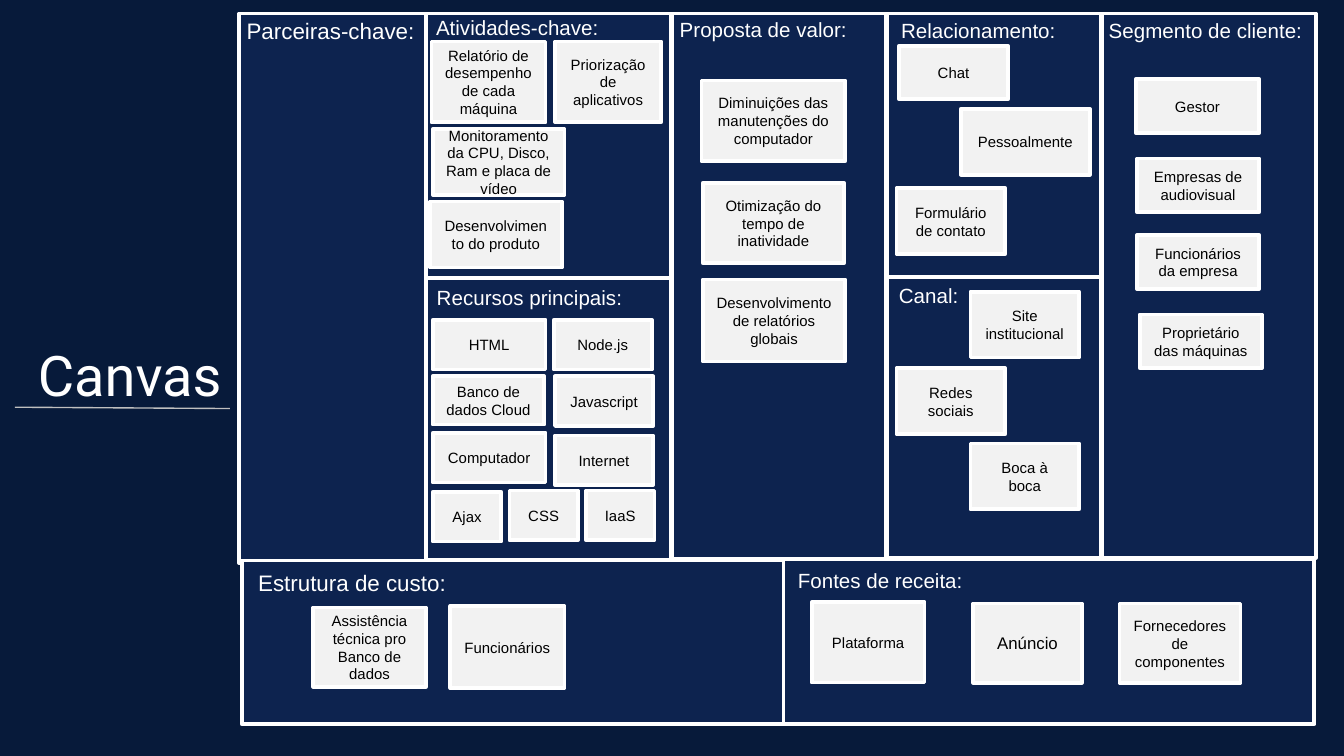
import pptx
import pptx.util
import pptx.dml.color
import pptx.enum.shapes
import pptx.enum.text
import pptx.oxml
import lxml.etree

Inches = pptx.util.Inches
ANCHOR = pptx.enum.text.MSO_ANCHOR
ALIGN = pptx.enum.text.PP_ALIGN

NAVY, PANEL, CARD, WHITE, BLACK, GRAY = "071A3A", "0D234F", "F2F2F2", "FFFFFF", "000000", "BFBFBF"

PANELS = [
    (1.78, 0.1, 1.41, 4.09, PANEL),
    (3.17, 0.1, 1.82, 3.9, PANEL),
    (5, 0.1, 1.59, 4.06, PANEL),
    (6.6, 0.1, 1.59, 4.06, PANEL),
    (3.17, 2.07, 1.82, 2.1, PANEL),
    (6.6, 2.06, 1.59, 2.09, None),
    (1.8, 4.17, 4.03, 1.22, PANEL),
    (8.2, 0.1, 1.59, 4.05, PANEL),
    (5.83, 4.16, 3.95, 1.23, PANEL),
]

SECTIONS = [
    ("Parceiras-chave:", (1.44, 0.1, 2.04, 0.25), 12, []),
    ("Atividades-chave:", (2.83, 0.08, 2.04, 0.25), 11, [
        ("Relatório de desempenho de cada máquina", 3.21, 0.31, 0.85, 0.6),
        ("Priorização de aplicativos", 4.13, 0.31, 0.79, 0.6),
        ("Monitoramento da CPU, Disco, Ram e placa de vídeo", 3.22, 0.96, 0.98, 0.49),
        ("Desenvolvimento do produto", 3.2, 1.5, 0.98, 0.49),
    ]),
    ("Recursos principais:", (2.92, 2.09, 2.04, 0.25), 11, [
        ("HTML", 3.22, 2.38, 0.84, 0.37),
        ("Node.js", 4.12, 2.38, 0.73, 0.37),
        ("Banco de dados Cloud", 3.22, 2.8, 0.83, 0.36),
        ("Javascript", 4.13, 2.8, 0.73, 0.37),
        ("Computador", 3.22, 3.22, 0.84, 0.37),
        ("Internet", 4.13, 3.24, 0.73, 0.37),
        ("Ajax", 3.22, 3.66, 0.51, 0.37),
        ("CSS", 3.79, 3.65, 0.51, 0.37),
        ("IaaS", 4.36, 3.65, 0.51, 0.37),
    ]),
    ("Proposta de valor:", (4.66, 0.15, 2.04, 0.14), 11, [
        ("Diminuições das manutenções do computador", 5.22, 0.6, 1.07, 0.6),
        ("Otimização do tempo de inatividade", 5.23, 1.36, 1.05, 0.6),
        ("Desenvolvimento de relatórios globais", 5.23, 2.08, 1.06, 0.61),
    ]),
    ("Relacionamento:", (6.26, 0.1, 2.04, 0.25), 11, [
        ("Chat", 6.69, 0.34, 0.81, 0.4),
        ("Pessoalmente", 7.15, 0.81, 0.96, 0.49),
        ("Formulário de contato", 6.67, 1.4, 0.81, 0.49),
    ]),
    ("Canal:", (6.58, 2.07, 0.66, 0.25), 11, [
        ("Site institucional", 7.22, 2.17, 0.81, 0.49),
        ("Redes sociais", 6.67, 2.74, 0.81, 0.49),
        ("Boca à boca", 7.22, 3.3, 0.81, 0.49),
    ]),
    ("Segmento de cliente:", (7.95, 0.1, 2.04, 0.25), 11, [
        ("Gestor", 8.45, 0.59, 0.92, 0.4),
        ("Empresas de audiovisual", 8.46, 1.18, 0.91, 0.4),
        ("Funcionários da empresa", 8.46, 1.75, 0.91, 0.4),
        ("Proprietário das máquinas", 8.48, 2.34, 0.91, 0.4),
    ]),
    ("Estrutura de custo:", (1.6, 4.21, 2.04, 0.25), 12, [
        ("Assistência técnica pro Banco de dados", 2.33, 4.52, 0.84, 0.59),
        ("Funcionários", 3.35, 4.51, 0.85, 0.61),
    ]),
    ("Fontes de receita:", (5.53, 4.19, 2.04, 0.25), 11, [
        ("Plataforma", 6.04, 4.48, 0.84, 0.6),
        ("Anúncio", 7.24, 4.49, 0.81, 0.59),
        ("Fornecedores de componentes", 8.33, 4.49, 0.9, 0.59),
    ]),
]
LARGER_CARDS = {"Anúncio": 9}


def color(value):
    return pptx.dml.color.RGBColor.from_string(value)


def write(shape, text, size, ink, font="Arial", align=ALIGN.CENTER, anchor=ANCHOR.MIDDLE):
    frame = shape.text_frame
    settings = {"word_wrap": True, "auto_size": pptx.enum.text.MSO_AUTO_SIZE.NONE, "vertical_anchor": anchor}
    for name, value in settings.items():
        setattr(frame, name, value)
    para = frame.paragraphs[0]
    para.alignment = align
    span = para.add_run()
    span.text = text
    for name, value in {"name": font, "size": pptx.util.Pt(size), "bold": False}.items():
        setattr(span.font, name, value)
    span.font.color.rgb = color(ink)
    return para


def add_rectangle(page, left, top, width, height, fill):
    box = page.shapes.add_shape(pptx.enum.shapes.MSO_SHAPE.RECTANGLE,
                                *map(Inches, (left, top, width, height)))
    box.shadow.inherit = False
    if fill:
        box.fill.solid()
        box.fill.fore_color.rgb = color(fill)
    else:
        box.fill.background()
    box.line.color.rgb = color(WHITE)
    box.line.width = pptx.util.Pt(2)
    outline = box.element.spPr.find(pptx.oxml.ns.qn("a:ln"))
    lxml.etree.SubElement(outline, pptx.oxml.ns.qn("a:round"))
    return box


deck = pptx.Presentation()
deck.slide_width = Inches(10)
deck.slide_height = deck.slide_width * 9 // 16
page = deck.slides.add_slide(deck.slide_layouts[5])
page.background.fill.solid()
page.background.fill.fore_color.rgb = color(NAVY)

title = page.shapes.title
for name, value in {"left": -0.29, "top": 2.48, "width": 2.04, "height": 0.66}.items():
    setattr(title, name, Inches(value))
for side in ("left", "top", "right", "bottom"):
    setattr(title.text_frame, "margin_" + side, Inches(0.1))
write(title, "Canvas", 30, WHITE, "Roboto", ALIGN.RIGHT, ANCHOR.BOTTOM).line_spacing = 0.9

underline = page.shapes.add_connector(pptx.enum.shapes.MSO_CONNECTOR.STRAIGHT,
                                      *map(Inches, (0.11, 3.03, 1.71, 3.04)))
underline.line.color.rgb = color(GRAY)
underline.line.width = pptx.util.Pt(0.75)
lxml.etree.SubElement(underline._element.spPr, pptx.oxml.ns.qn("a:effectLst"))

for panel in PANELS:
    add_rectangle(page, *panel)

for heading, place, size, cards in SECTIONS:
    label = page.shapes.add_textbox(*map(Inches, place))
    write(label, heading, size, WHITE)
    for text, *spot in cards:
        write(add_rectangle(page, *spot, CARD), text, LARGER_CARDS.get(text, 8), BLACK)

deck.save("out.pptx")
